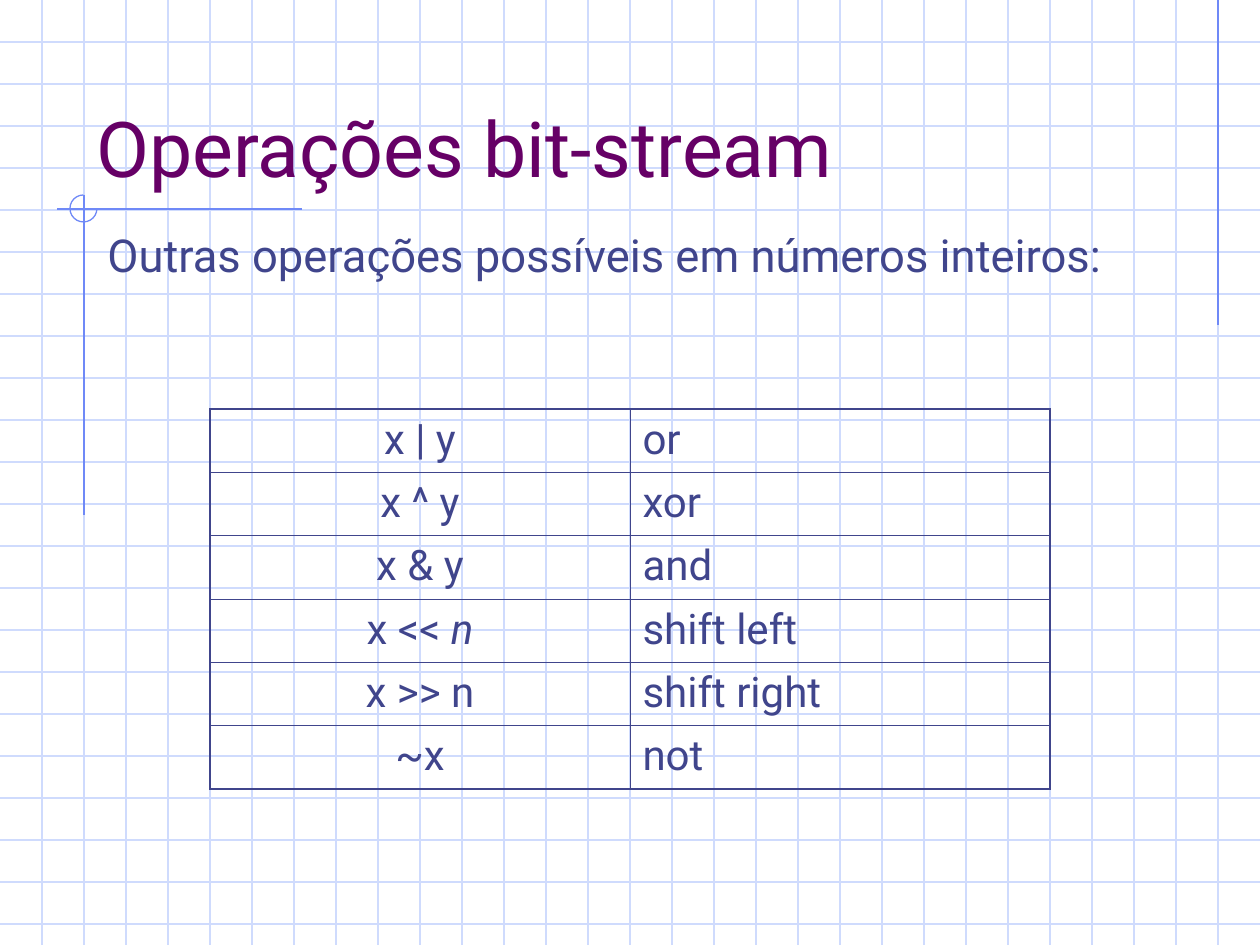
from lxml.etree import SubElement
from pptx import Presentation
from pptx.dml.color import RGBColor
from pptx.enum.shapes import MSO_CONNECTOR as Connector, MSO_SHAPE as Shape
from pptx.enum.text import MSO_ANCHOR as Anchor, PP_ALIGN as Align
from pptx.oxml import parse_xml
from pptx.oxml.ns import nsdecls, qn
from pptx.util import Emu, Pt

TITLE = "Operações bit-stream"
INTRO = "Outras operações possíveis em números inteiros:"
# Each expression is a list of (text, italic) runs, or plain text.
OPERATIONS = [
    ("x | y", "or"),
    ("x ^ y", "xor"),
    ("x & y", "and"),
    ([("x << ", False), ("n", True)], "shift left"),
    ("x >> n", "shift right"),
    ("~x", "not"),
]

THEME = {
    "font": "Roboto",
    "title": "660066", "text": "40458C", "grid": "CFDBFD", "accent": "6F89F7",
    "title_size": 44, "intro_size": 25.9, "cell_size": 24,
    "rule": 0.74, "outer": 1.08, "inner": 0.45,
}

WIDTH, HEIGHT, GRID_STEP = 1260, 945, 42
TITLE_BOX = (84, 42, 1071, 157)
INTRO_BOX = (95, 221, 1113, 84)
TABLE_BOX = (210, 409, 840, 380)
ACCENT_RULES = [(1218, 0, 1218, 325), (302, 209, 57, 209), (84, 195, 84, 515)]
ARC_BOX = (70, 195, 27, 27)


def px(*lengths):
    """Turn pixel lengths into EMU."""
    return [Emu(round(length * 914400 / 126)) for length in lengths]


def write(frame, text, *, size, color, align=Align.LEFT, anchor=Anchor.TOP, before=0):
    """Write one paragraph of plain or mixed-italic text into a text frame."""
    frame.word_wrap = True
    frame.vertical_anchor = anchor
    paragraph = frame.paragraphs[0]
    paragraph.alignment = align
    paragraph.space_before = Pt(before)
    for words, italic in ([(text, False)] if isinstance(text, str) else text):
        run = paragraph.add_run()
        run.text = words
        run.font.name = THEME["font"]
        run.font.size = Pt(size)
        run.font.italic = italic
        run.font.color.rgb = RGBColor.from_string(color)


def draw_rule(slide, ends, color):
    """Draw a thin straight line without a shadow."""
    rule = slide.shapes.add_connector(Connector.STRAIGHT, *px(*ends))
    rule.line.color.rgb = RGBColor.from_string(color)
    rule.line.width = Pt(THEME["rule"])
    SubElement(rule._element.spPr, qn("a:effectLst"))


def draw_background(slide):
    """Draw the squared paper, the accent rules and the open circle."""
    for y in range(GRID_STEP, HEIGHT, GRID_STEP):
        draw_rule(slide, (0, y, WIDTH, y), THEME["grid"])
    for x in range(GRID_STEP, WIDTH, GRID_STEP):
        draw_rule(slide, (x, 0, x, HEIGHT), THEME["grid"])
    for ends in ACCENT_RULES:
        draw_rule(slide, ends, THEME["accent"])
    arc = slide.shapes.add_shape(Shape.ARC, *px(*ARC_BOX))
    arc.adjustments[0], arc.adjustments[1] = 0, 162
    arc.shadow.inherit = False
    arc.fill.background()
    arc.line.color.rgb = RGBColor.from_string(THEME["accent"])
    arc.line.width = Pt(THEME["rule"])


def set_borders(cell, outer_sides):
    """Give a cell its four borders, heavier on the table's outer sides."""
    properties = cell._tc.get_or_add_tcPr()
    for place, side in enumerate("LRTB"):
        width = Pt(THEME["outer" if side in outer_sides else "inner"])
        properties.insert(place, parse_xml(
            f'<a:ln{side} {nsdecls("a")} w="{int(width)}"><a:solidFill>'
            f'<a:srgbClr val="{THEME["text"]}"/></a:solidFill></a:ln{side}>'))


def draw_operations(slide):
    """Draw the table of operators and their names."""
    last = len(OPERATIONS) - 1
    table = slide.shapes.add_table(len(OPERATIONS), 2, *px(*TABLE_BOX)).table
    table.first_row = table.horz_banding = False
    for r, operation in enumerate(OPERATIONS):
        for c, text in enumerate(operation):
            cell = table.cell(r, c)
            cell.fill.background()
            write(cell.text_frame, text, size=THEME["cell_size"], color=THEME["text"],
                  align=Align.LEFT if c else Align.CENTER, before=6)
            set_borders(cell, "LR"[c] + "T" * (r == 0) + "B" * (r == last))


def draw_text(slide, box, text, **style):
    """Place a text box with one paragraph."""
    write(slide.shapes.add_textbox(*px(*box)).text_frame, text, **style)


deck = Presentation()
deck.slide_width, deck.slide_height = px(WIDTH, HEIGHT)
slide = deck.slides.add_slide(deck.slide_layouts[6])
draw_background(slide)
draw_text(slide, TITLE_BOX, TITLE, size=THEME["title_size"], color=THEME["title"],
          anchor=Anchor.BOTTOM)
draw_text(slide, INTRO_BOX, INTRO, size=THEME["intro_size"], color=THEME["text"], before=7)
draw_operations(slide)
deck.save("out.pptx")
